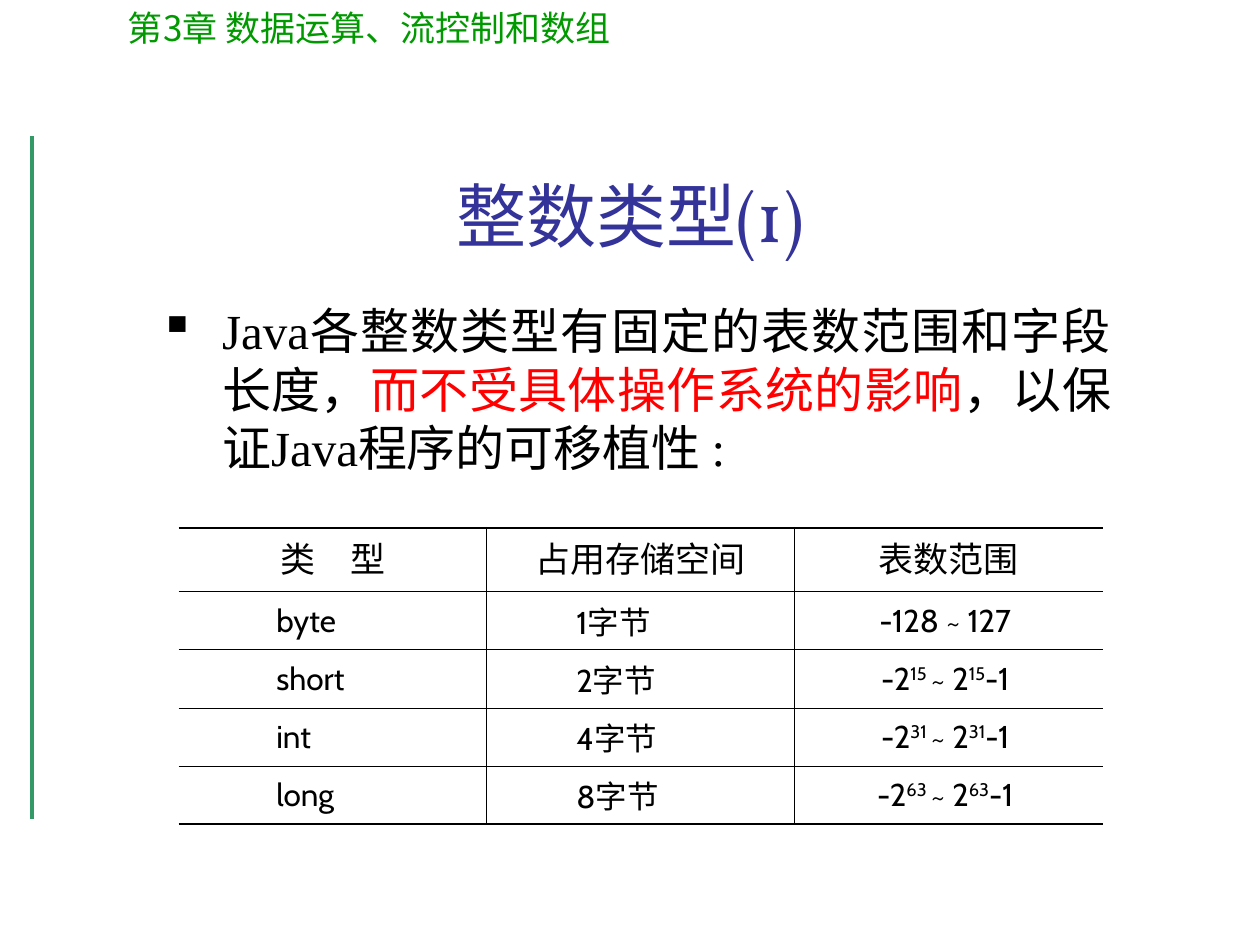
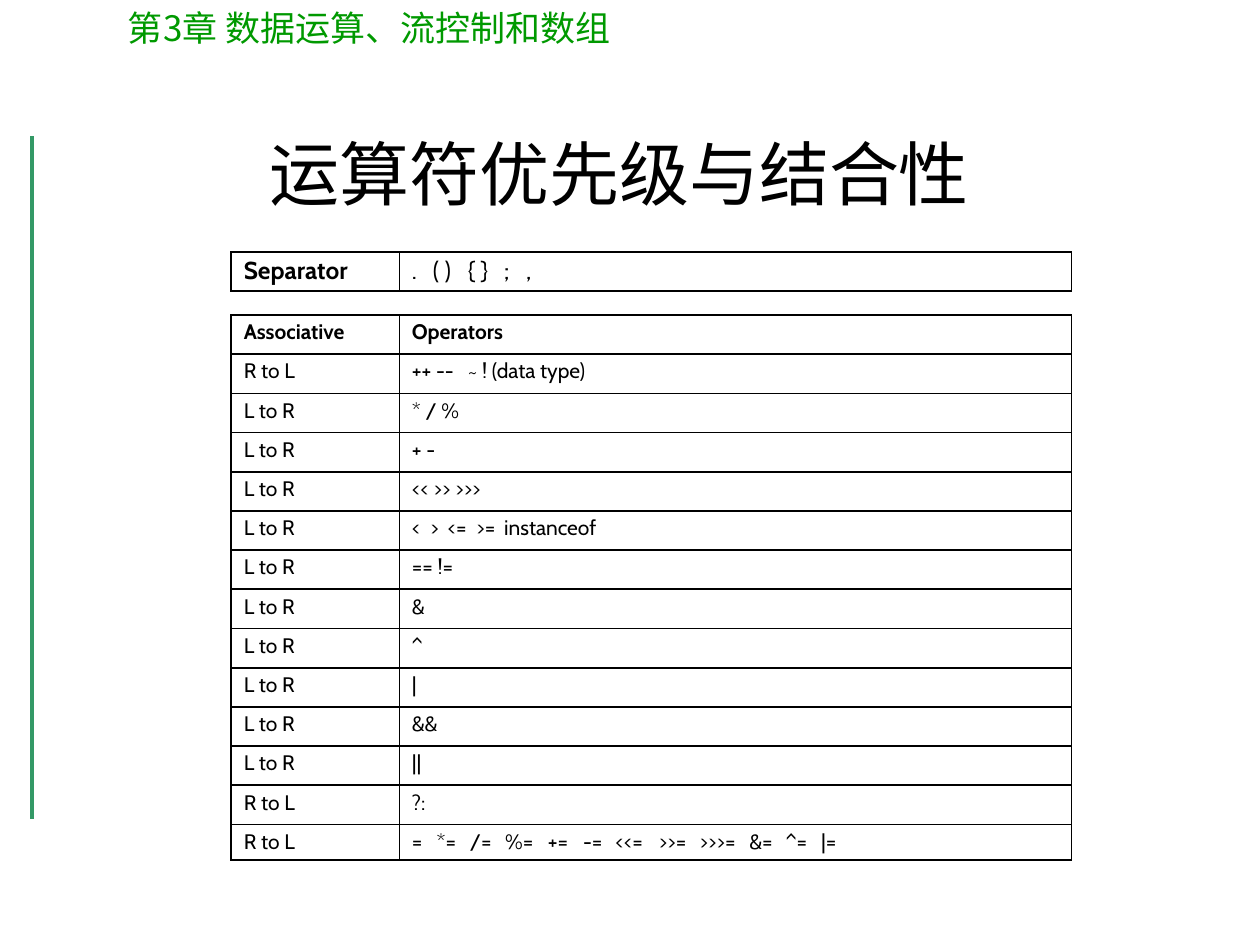
from pptx import Presentation
from pptx.dml.color import RGBColor
from pptx.enum.shapes import MSO_CONNECTOR
from pptx.enum.text import MSO_ANCHOR, PP_ALIGN
from pptx.oxml.ns import qn
from pptx.util import Cm, Pt
from lxml.etree import SubElement

BLACK, RED, NAVY = "000000", "FF0000", "333399"
GREEN, RULE_GREEN = "009900", "339966"
SANS, SERIF, TITLE_FONT, CJK = "Cabin", "Times New Roman", "Vollkorn", "Noto Sans CJK SC"
THIN, THICK = 0.45, 1.08
CHAPTER = "第3章 数据运算、流控制和数组"

# Each row: associativity, tokens separated by tab stops, stop positions in cm
OPERATORS = [
    ("R to L", ["++ --", "~ ! (data type)"], [1.13]),
    ("L to R", ["* / %"], []),
    ("L to R", ["+ -"], []),
    ("L to R", ["<< >> >>>"], []),
    ("L to R", ["<", ">", "<=", ">=", "instanceof"], [0.37, 0.72, 1.3, 1.86]),
    ("L to R", ["== !="], []),
    ("L to R", ["&"], []),
    ("L to R", ["^"], []),
    ("L to R", ["|"], []),
    ("L to R", ["&&"], []),
    ("L to R", ["||"], []),
    ("R to L", ["?:"], []),
    ("R to L", ["=", "*=", "/=", "%=", "+=", "-=", "<<=", ">>=", ">>>=", "&=", "^=", "|="],
     [0.5, 1.17, 1.88, 2.74, 3.45, 4.1, 4.98, 5.8, 6.8, 7.54, 8.25]),
]


def rgb(value):
    return RGBColor.from_string(value)


def format_run(r, size, font, color, bold=False, ea=None, raised=False):
    """Format a run; ea is the East Asian font when it differs from font."""
    r.font.size, r.font.name, r.font.bold = Pt(size), font, bold
    r.font.color.rgb = rgb(color)
    rpr = r._r.get_or_add_rPr()
    SubElement(rpr, qn("a:ea"), typeface=ea or font)
    if raised:
        rpr.set("baseline", "30000")


def write(tf, text, align=PP_ALIGN.LEFT, spacing=None, bullet=None, hang=0, stops=(), **fmt):
    """Write one paragraph; text is a string or a list of (string, run format)."""
    p = tf.paragraphs[0]
    ppr = p._p.get_or_add_pPr()
    if bullet:
        ppr.set("marL", str(Cm(hang)))
        ppr.set("indent", str(-Cm(hang)))
        color = SubElement(ppr, qn("a:buClr"))
        SubElement(color, qn("a:srgbClr"), val=BLACK)
        SubElement(ppr, qn("a:buChar"), char=bullet)
    if stops:
        tabs = SubElement(ppr, qn("a:tabLst"))
        for stop in stops:
            SubElement(tabs, qn("a:tab"), pos=str(Cm(stop)), algn="l")
    p.alignment = align
    if spacing:
        p.line_spacing = spacing
    for part, extra in [(text, {})] if isinstance(text, str) else text:
        r = p.add_run()
        r.text = part
        format_run(r, **{"font": SANS, "color": BLACK, **fmt, **extra})


def add_text(s, box, text, anchor=MSO_ANCHOR.TOP, **fmt):
    tf = s.shapes.add_textbox(*map(Cm, box)).text_frame
    tf.word_wrap = True
    tf.vertical_anchor = anchor
    write(tf, text, **fmt)


def add_title(s, left, top, text, color):
    add_text(s, (left, top, 21.59, 3.18), text, anchor=MSO_ANCHOR.BOTTOM,
             align=PP_ALIGN.CENTER, size=40, font=TITLE_FONT, color=color)


def add_slide(prs):
    """Add a slide with the chapter heading and the green rule at the left."""
    s = prs.slides.add_slide(prs.slide_layouts[6])
    line = s.shapes.add_connector(MSO_CONNECTOR.STRAIGHT, Cm(0.64), Cm(2.75), Cm(0.64), Cm(16.5))
    line.line.color.rgb = rgb(RULE_GREEN)
    line.line.width = Pt(2.25)
    SubElement(line._element.spPr, qn("a:effectLst"))
    add_text(s, (2.33, 0, 20.98, 2.38), CHAPTER, size=20, font=CJK, ea=SANS, color=GREEN)
    return s


def set_borders(cell, widths):
    """Set left, right, top and bottom border widths in points; 0 is no line."""
    tcpr = cell._tc.get_or_add_tcPr()
    for side, width in zip("LRTB", widths):
        ln = SubElement(tcpr, qn(f"a:ln{side}"), w=str(Pt(width)))
        if width:
            fill = SubElement(ln, qn("a:solidFill"))
            SubElement(fill, qn("a:srgbClr"), val=BLACK)
        else:
            SubElement(ln, qn("a:noFill"))


def add_grid(s, left, top, col_widths, row_heights, side, rule):
    """Add an unfilled table: side is the outer side border, rule the row border."""
    n_rows, n_cols = len(row_heights), len(col_widths)
    frame = s.shapes.add_table(n_rows, n_cols, Cm(left), Cm(top),
                               Cm(sum(col_widths)), Cm(sum(row_heights)))
    table = frame.table
    table.first_row = table.horz_banding = False
    for column, width in zip(table.columns, col_widths):
        column.width = Cm(width)
    for i, height in enumerate(row_heights):
        table.rows[i].height = Cm(height)
        for j in range(n_cols):
            cell = table.cell(i, j)
            set_borders(cell, (THIN if j else side,
                               THIN if j < n_cols - 1 else side,
                               rule if i else THICK,
                               rule if i < n_rows - 1 else THICK))
            cell.fill.background()
    return table


def fill_type_table(table):
    for j, heading in enumerate(["类　型", "占用存储空间", "表数范围"]):
        write(table.cell(0, j).text_frame, heading, align=PP_ALIGN.CENTER, size=20)
    types = [("byte", "1", None), ("short", "2", "15"), ("int", "4", "31"), ("long", "8", "63")]
    for i, (name, size, power) in enumerate(types, start=1):
        up = {"raised": True}
        limits = [("-2", {}), (power + " ", up), ("~ 2", {}), (power, up), ("-1 ", {})] \
            if power else "-128 ~ 127 "
        name_cell, size_cell, limit_cell = table.rows[i].cells
        name_cell.margin_left, size_cell.margin_left = Cm(1.97), Cm(1.81)
        write(name_cell.text_frame, name, size=18)
        write(size_cell.text_frame, [(size, {}), ("字节", {"font": CJK})], size=18)
        write(limit_cell.text_frame, limits, align=PP_ALIGN.CENTER, size=18)
    for row in table.rows:
        for cell in row.cells:
            cell.vertical_anchor = MSO_ANCHOR.MIDDLE


def fill_operator_row(table, i, label, tokens, stops=(), label_bold=False, **fmt):
    write(table.cell(i, 0).text_frame, label, spacing=0.9, bold=label_bold, **fmt)
    write(table.cell(i, 1).text_frame, "\t".join(tokens), spacing=0.9, stops=stops, **fmt)


def integer_types(prs):
    s = add_slide(prs)
    add_title(s, 1.91, 2.11, "整数类型(1)", NAVY)
    table = add_grid(s, 3.6, 10.64, [6.21] * 3, [1.29] + [1.17] * 4, side=0, rule=THIN)
    fill_type_table(table)
    cjk = {"font": CJK}
    add_text(s, (2.96, 5.93, 19.69, 3.81), [
        ("Java各整数类型有固定的表数范围和字段长度，", {}),
        ("而不受具体操作系统的影响", {"color": RED}),
        ("，", {}), ("以保证", cjk), ("Java", {}), ("程序的可移植性 ", cjk), (":", {}),
    ], align=PP_ALIGN.JUSTIFY, bullet="▪", hang=1.27, size=28, font=SERIF, ea=SANS)


def operator_precedence(prs):
    s = add_slide(prs)
    add_title(s, 1.69, 1.27, "运算符优先级与结合性", BLACK)
    columns = [3.39, 13.55]
    separators = add_grid(s, 4.66, 5.08, columns, [0.79], side=THICK, rule=THICK)
    fill_operator_row(separators, 0, "Separator", [".", "( )", "{ }", ";", ","],
                      [0.42, 1.13, 1.86, 2.3], label_bold=True, size=14)
    heights = [0.79] * len(OPERATORS) + [0.71]
    operators = add_grid(s, 4.66, 6.35, columns, heights, side=THICK, rule=THICK)
    for j, heading in enumerate(["Associative", "Operators"]):
        write(operators.cell(0, j).text_frame, heading, spacing=0.9, size=12, bold=True)
    for i, (order, tokens, stops) in enumerate(OPERATORS, start=1):
        fill_operator_row(operators, i, order, tokens, stops, size=12)


def main():
    prs = Presentation()
    prs.slide_width, prs.slide_height = Cm(25.4), Cm(19.05)
    integer_types(prs)
    operator_precedence(prs)
    prs.save("out.pptx")


if __name__ == "__main__":
    main()
